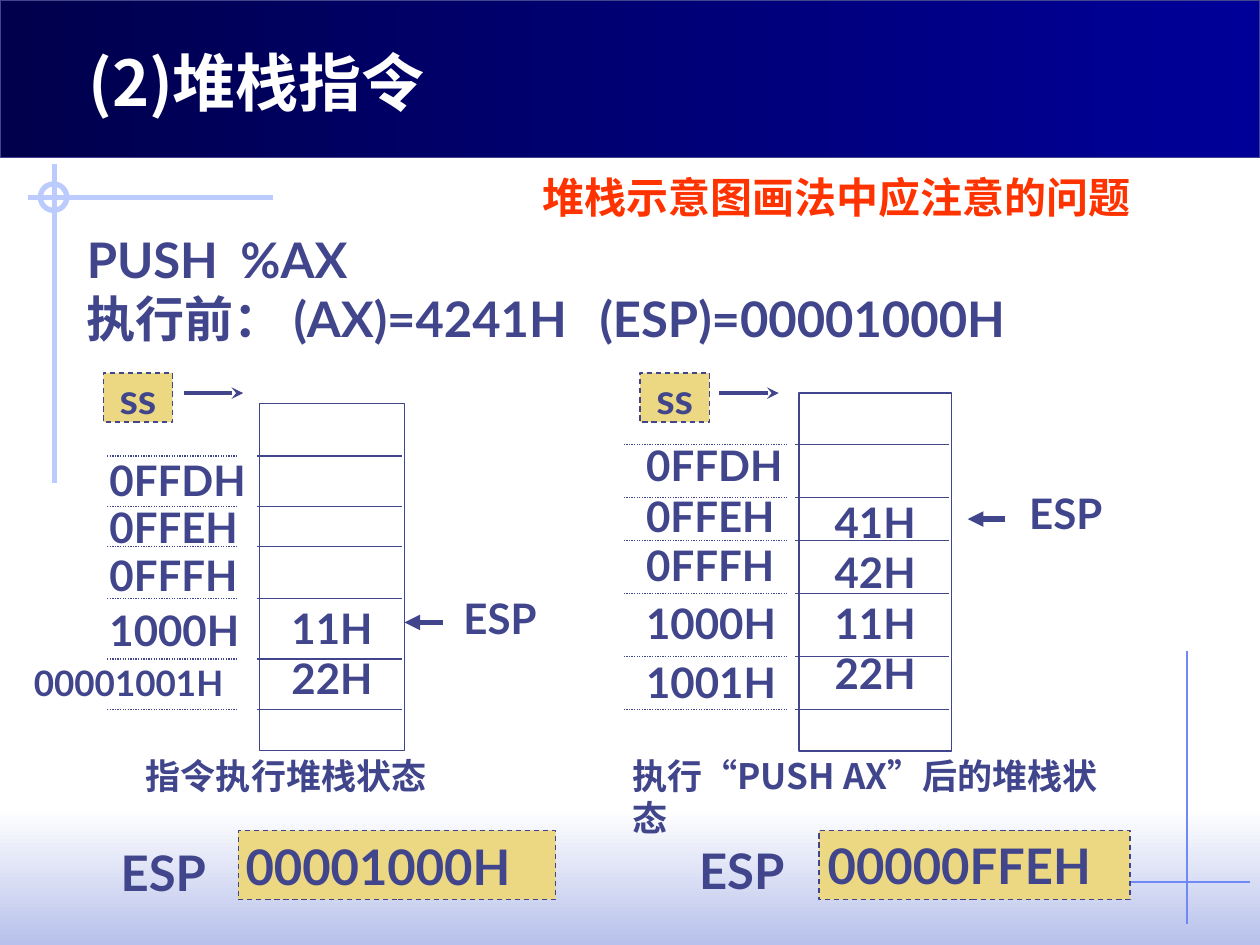
from lxml import etree
from pptx import Presentation
from pptx.dml.color import RGBColor
from pptx.enum import dml, shapes, text as t
from pptx.oxml.ns import qn
from pptx.util import Inches, Pt

THEME = {
    "ink": "40458C", "white": "FFFFFF", "red": "FF3300", "gold": "ECD882",
    "pale": "BBCBFD", "blue": "6F89F7", "haze": "B7C1EB",
    "navy": "00004D", "royal": "000099",
    "title": 36, "lead": 28, "body": 24, "small": 20,
    "latin": "Lato", "asian": "Noto Sans CJK SC", "heading": "Noto Sans CJK JP",
}


def color(name):
    return RGBColor.from_string(THEME[name])


def write(box, content, size="body", ink="ink", latin="latin", asian="asian",
          align=t.PP_ALIGN.LEFT, anchor=t.MSO_ANCHOR.TOP, wrap=False, grow=True, tabs=()):
    frame = box.text_frame
    frame.word_wrap = wrap
    frame.vertical_anchor = anchor
    frame.auto_size = t.MSO_AUTO_SIZE.SHAPE_TO_FIT_TEXT if grow else t.MSO_AUTO_SIZE.NONE
    for index, line in enumerate(content.split("\n")):
        para = frame.add_paragraph() if index else frame.paragraphs[0]
        para.alignment = align
        span = para.add_run()
        span.text = line
        span.font.size = Pt(THEME[size])
        span.font.bold = True
        span.font.name = THEME[latin]
        span.font.color.rgb = color(ink)
        etree.SubElement(span.font._element, qn("a:ea"), typeface=THEME[asian])
        if tabs:
            stops = etree.SubElement(para._p.get_or_add_pPr(), qn("a:tabLst"))
            etree.SubElement(stops, qn("a:tab"), pos=str(Inches(tabs[index])), algn="l")


def connect(parent, x1, y1, x2, y2, ink="ink", width=0.75, dash=None, **ends):
    line = parent.shapes.add_connector(
        shapes.MSO_CONNECTOR.STRAIGHT, Inches(x1), Inches(y1), Inches(x2), Inches(y2))
    line.line.color.rgb = color(ink)
    line.line.width = Pt(width)
    if dash:
        line.line.dash_style = dash
    outline = line.line._get_or_add_ln()
    for end, kind in ends.items():
        etree.SubElement(outline, qn(f"a:{end}"), type=kind)
    etree.SubElement(line._element.spPr, qn("a:effectLst"))


deck = Presentation()
deck.slide_width, deck.slide_height = Inches(10), Inches(7.5)
page = deck.slides.add_slide(deck.slide_layouts[5])

for top, height, start, finish, angle in [
    (6.42, 1.08, "white", "haze", 270),
    (0, 1.25, "navy", "royal", 0),
]:
    band = page.shapes.add_shape(
        shapes.MSO_SHAPE.RECTANGLE, 0, Inches(top), Inches(10), Inches(height))
    band.shadow.inherit = False
    band.fill.gradient()
    band.fill.gradient_angle = angle
    for stop, name in zip(band.fill.gradient_stops, (start, finish)):
        stop.color.rgb = color(name)
    if angle:
        band.line.fill.background()
    else:
        band.line.color.rgb = color("ink")
        band.line.width = Pt(0.75)

connect(page, 9.42, 5.17, 9.42, 7.33, ink="blue")
connect(page, 7.25, 7, 9.92, 7, ink="blue")
connect(page, 2.17, 1.57, 0.22, 1.57, ink="pale", width=3)
connect(page, 0.43, 1.3, 0.43, 3.83, ink="pale", width=3)
ring = page.shapes.add_shape(
    shapes.MSO_SHAPE.OVAL, Inches(0.32), Inches(1.46), Inches(0.21), Inches(0.21))
ring.shadow.inherit = False
ring.fill.background()
ring.line.color.rgb = color("pale")
ring.line.width = Pt(3)

title = page.shapes.title
title.left, title.top, title.width, title.height = map(Inches, (0.6, 0.29, 8.12, 0.71))
write(title, "(2)堆栈指令", size="title", ink="white", latin="heading", asian="heading",
      anchor=t.MSO_ANCHOR.MIDDLE, wrap=True)
title.element.getparent().append(title.element)

lead = page.shapes.add_textbox(Inches(0.59), Inches(1.77), Inches(8.38), Inches(1.04))
write(lead, "PUSH\t%AX\n执行前： (AX)=4241H\t(ESP)=00001000H", size="lead", wrap=True,
      tabs=(1.22, 4.07))
warning = page.shapes.add_textbox(Inches(4.21), Inches(1.31), Inches(4.87), Inches(0.5))
write(warning, "堆栈示意图画法中应注意的问题", ink="red")

stacks = [
    {
        "value_box": (1.89, 6.59, 2.52, 0.55),
        "stack_box": (2.06, 3.2, 1.15, 2.76),
        "segment_box": (0.82, 2.96, 0.55, 0.39),
        "cells": "11H\n22H", "inset": 1.58,
        "rows": (3.62, 4.02, 4.34, 4.75, 5.23, 5.63),
        "solid": (2.04, 3.19), "dotted": (0.85, 1.88),
        "pointer": (3.21, 4.94, 3.52), "segment": (1.46, 1.93),
        "labels": [
            ("ESP", (0.86, 6.64, 1.02, 0.57), {"size": "lead", "wrap": True}),
            ("00001000H", (1.85, 6.59, 2.59, 0.57), {"size": "lead", "wrap": True}),
            ("00001001H", (0.17, 5.2, 2, 0.44), {"size": "small", "wrap": True}),
            ("ESP", (3.58, 4.65, 0.84, 0.51), {}),
            ("指令执行堆栈状态", (1.06, 5.94, 2.44, 0.43), {"size": "small"}),
        ],
        "address_left": 0.77,
        "addresses": [("0FFDH", 3.56, 1.31), ("0FFEH", 3.93, 1.26),
                      ("0FFFH", 4.31, 1.25), ("1000H", 4.75, 1.3)],
    },
    {
        "value_box": (6.5, 6.59, 2.47, 0.55),
        "stack_box": (6.34, 3.12, 1.21, 2.84),
        "segment_box": (5.08, 2.96, 0.55, 0.39),
        "cells": "41H\n42H\n11H\n22H", "inset": 0.82,
        "rows": (3.53, 3.95, 4.29, 4.71, 5.21, 5.63),
        "solid": (6.31, 7.53), "dotted": (4.95, 6.26),
        "pointer": (7.68, 4.12, 7.98), "segment": (5.71, 6.18),
        "labels": [
            ("ESP", (5.45, 6.62, 1.02, 0.57), {"size": "lead", "wrap": True}),
            ("00000FFEH", (6.47, 6.58, 2.52, 0.57), {"size": "lead", "wrap": True}),
            ("ESP", (8.07, 3.82, 0.9, 0.51), {"wrap": True}),
            ("执行“PUSH AX”后的堆栈状态", (4.92, 5.94, 3.98, 0.43),
             {"size": "small", "latin": "asian", "wrap": True}),
        ],
        "address_left": 5.03,
        "addresses": [("0FFDH", 3.44, 1.31), ("0FFEH", 3.84, 1.26), ("0FFFH", 4.23, 1.25),
                      ("1000H", 4.69, 1.3), ("1001H", 5.16, 1.3)],
    },
]

for stack in stacks:
    group = page.shapes.add_group_shape()
    for part, fill, content in [
        ("value_box", "gold", ""),
        ("stack_box", "white", stack["cells"]),
        ("segment_box", "gold", "ss"),
    ]:
        box = group.shapes.add_shape(shapes.MSO_SHAPE.RECTANGLE, *map(Inches, stack[part]))
        box.shadow.inherit = False
        box.fill.solid()
        box.fill.fore_color.rgb = color(fill)
        box.line.color.rgb = color("ink")
        box.line.width = Pt(0.75)
        anchor = t.MSO_ANCHOR.MIDDLE
        if part == "stack_box":
            anchor = t.MSO_ANCHOR.TOP
            box.text_frame.margin_top = Inches(stack["inset"])
        else:
            box.line.dash_style = dml.MSO_LINE.DASH
        if content:
            write(box, content, align=t.PP_ALIGN.CENTER, anchor=anchor, grow=False)

    for y in stack["rows"]:
        for (left, right), dash in [(stack["solid"], None),
                                    (stack["dotted"], dml.MSO_LINE.ROUND_DOT)]:
            connect(group, left, y, right, y, dash=dash)

    addresses = [(name, (stack["address_left"], top, width, 0.5), {})
                 for name, top, width in stack["addresses"]]
    for content, place, style in stack["labels"] + addresses:
        write(group.shapes.add_textbox(*map(Inches, place)), content, **style)

    left, y, right = stack["pointer"]
    connect(group, left, y, right, y, width=3, headEnd="triangle")
    left, right = stack["segment"]
    connect(group, left, 3.12, right, 3.12, width=2.25, tailEnd="stealth")

deck.save("out.pptx")
